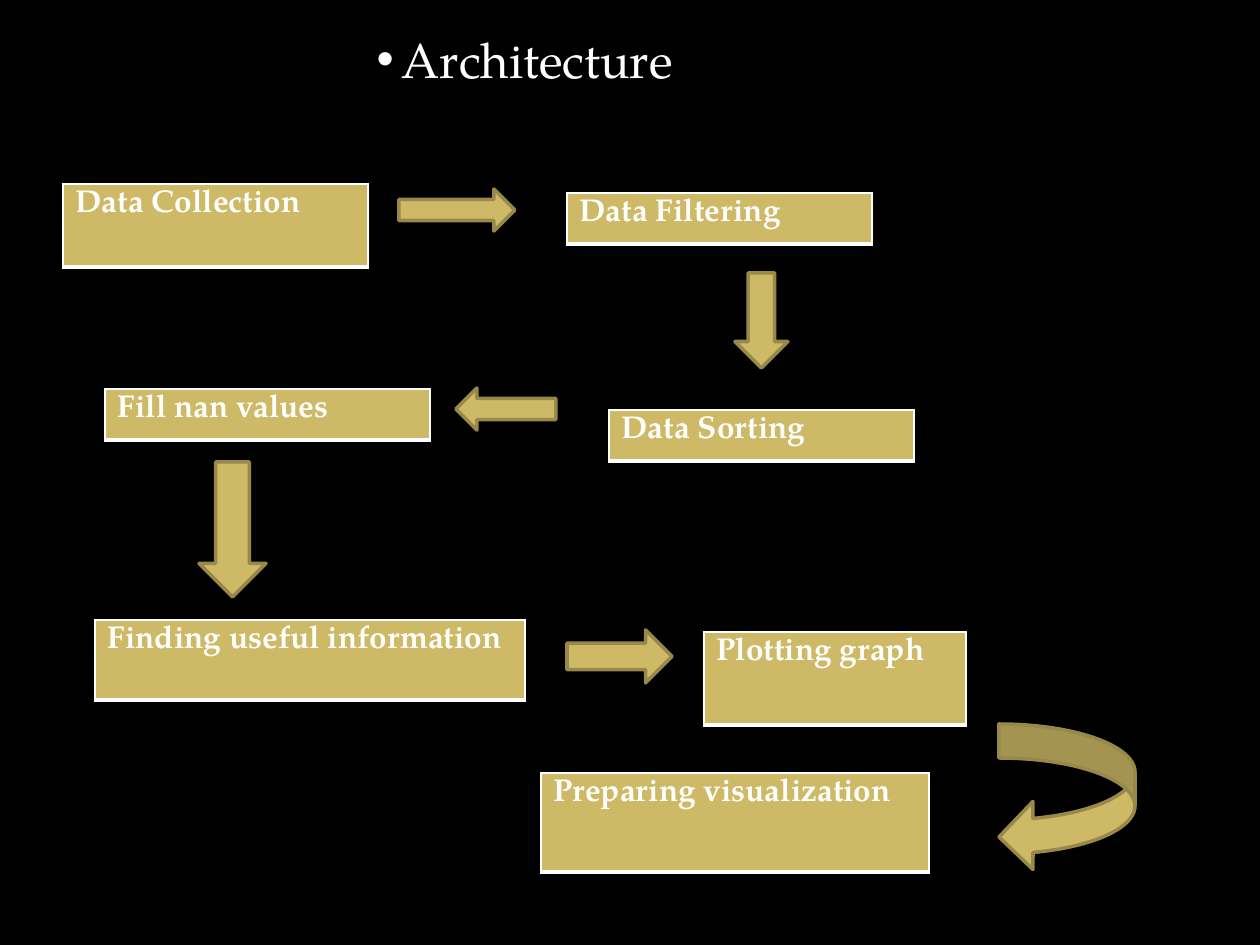
from lxml import etree
from pptx import Presentation
from pptx import util as u
from pptx.dml.color import RGBColor
from pptx.enum import shapes, text
from pptx.oxml.ns import qn

SCALE = 914400 / 126
FONT = "TeX Gyre Pagella"
BLACK = RGBColor(0x00, 0x00, 0x00)
WHITE = RGBColor(0xFF, 0xFF, 0xFF)
GOLD = RGBColor(0xCE, 0xB9, 0x66)
BRONZE = RGBColor(0x98, 0x89, 0x4B)
BORDERS = {"lnL": 1, "lnR": 1, "lnT": 1, "lnB": 3}
ARROW = shapes.MSO_SHAPE

STEPS = [
    ("Data Collection", (63, 184, 305, 83)),
    ("Data Filtering", (567, 193, 305, 51)),
    ("Data Sorting", (609, 410, 305, 51)),
    ("Fill nan values", (105, 389, 325, 51)),
    ("Finding useful information", (95, 620, 430, 80)),
    ("Plotting graph", (704, 632, 262, 93)),
    ("Preparing visualization", (541, 773, 388, 99)),
]
ARROWS = [
    (ARROW.RIGHT_ARROW, (399, 189, 116, 42)),
    (ARROW.DOWN_ARROW, (735, 273, 53, 95)),
    (ARROW.LEFT_ARROW, (456, 388, 100, 42)),
    (ARROW.DOWN_ARROW, (199, 462, 67, 135)),
    (ARROW.RIGHT_ARROW, (567, 630, 105, 53)),
    (ARROW.CURVED_LEFT_ARROW, (999, 724, 136, 147)),
]


def px(n):
    """Turn pixels into EMU."""
    return u.Emu(round(n * SCALE))


def write(p, words, size=18, bold=False, color=WHITE):
    """Add a formatted run to a paragraph."""
    r = p.add_run()
    r.text = words
    r.font.name, r.font.size, r.font.bold = FONT, u.Pt(size), bold
    r.font.color.rgb = color


def add_heading(s, box):
    """Place the bulleted heading in the body placeholder."""
    sp = s.placeholders[1]
    sp.left, sp.top, sp.width, sp.height = map(px, box)
    tf = sp.text_frame
    tf.auto_size = text.MSO_AUTO_SIZE.NONE
    tf.vertical_anchor = text.MSO_ANCHOR.TOP
    p = tf.paragraphs[0]
    p.level = 8
    p.alignment = text.PP_ALIGN.LEFT
    p.space_before = u.Pt(5.6)
    write(p, "Architecture", size=28)
    pPr = p._p.get_or_add_pPr()
    pPr.set("marL", str(px(326)))
    pPr.set("indent", str(px(-25)))
    color = etree.SubElement(pPr, qn("a:buClr"))
    etree.SubElement(color, qn("a:srgbClr"), val=str(WHITE))
    etree.SubElement(pPr, qn("a:buFont"), typeface="Arial")
    etree.SubElement(pPr, qn("a:buChar"), char="•")


def add_step(s, words, box):
    """Place one process step as a bordered one-cell table."""
    table = s.shapes.add_table(1, 1, *map(px, box)).table
    cell = table.cell(0, 0)
    cell.fill.solid()
    cell.fill.fore_color.rgb = GOLD
    write(cell.text_frame.paragraphs[0], words, bold=True)
    tcPr = cell._tc.get_or_add_tcPr()
    for i, (side, width) in enumerate(BORDERS.items()):
        ln = etree.Element(qn(f"a:{side}"), w=str(u.Pt(width)))
        fill = etree.SubElement(ln, qn("a:solidFill"))
        etree.SubElement(fill, qn("a:srgbClr"), val=str(WHITE))
        tcPr.insert(i, ln)


def add_arrow(s, kind, box):
    """Place one block arrow."""
    sp = s.shapes.add_shape(kind, *map(px, box))
    sp.shadow.inherit = False
    sp.fill.solid()
    sp.fill.fore_color.rgb = GOLD
    sp.line.color.rgb = BRONZE
    sp.line.width = u.Pt(2)


def build_slide(prs):
    """Build the architecture flow slide."""
    s = prs.slides.add_slide(prs.slide_layouts[1])
    s.background.fill.solid()
    s.background.fill.fore_color.rgb = BLACK
    title = s.shapes.title._element
    title.getparent().remove(title)
    add_heading(s, (63, 23, 1134, 848))
    for words, box in STEPS:
        add_step(s, words, box)
    for kind, box in ARROWS:
        add_arrow(s, kind, box)


prs = Presentation()
prs.slide_width, prs.slide_height = px(1260), px(945)
build_slide(prs)
prs.save("out.pptx")
